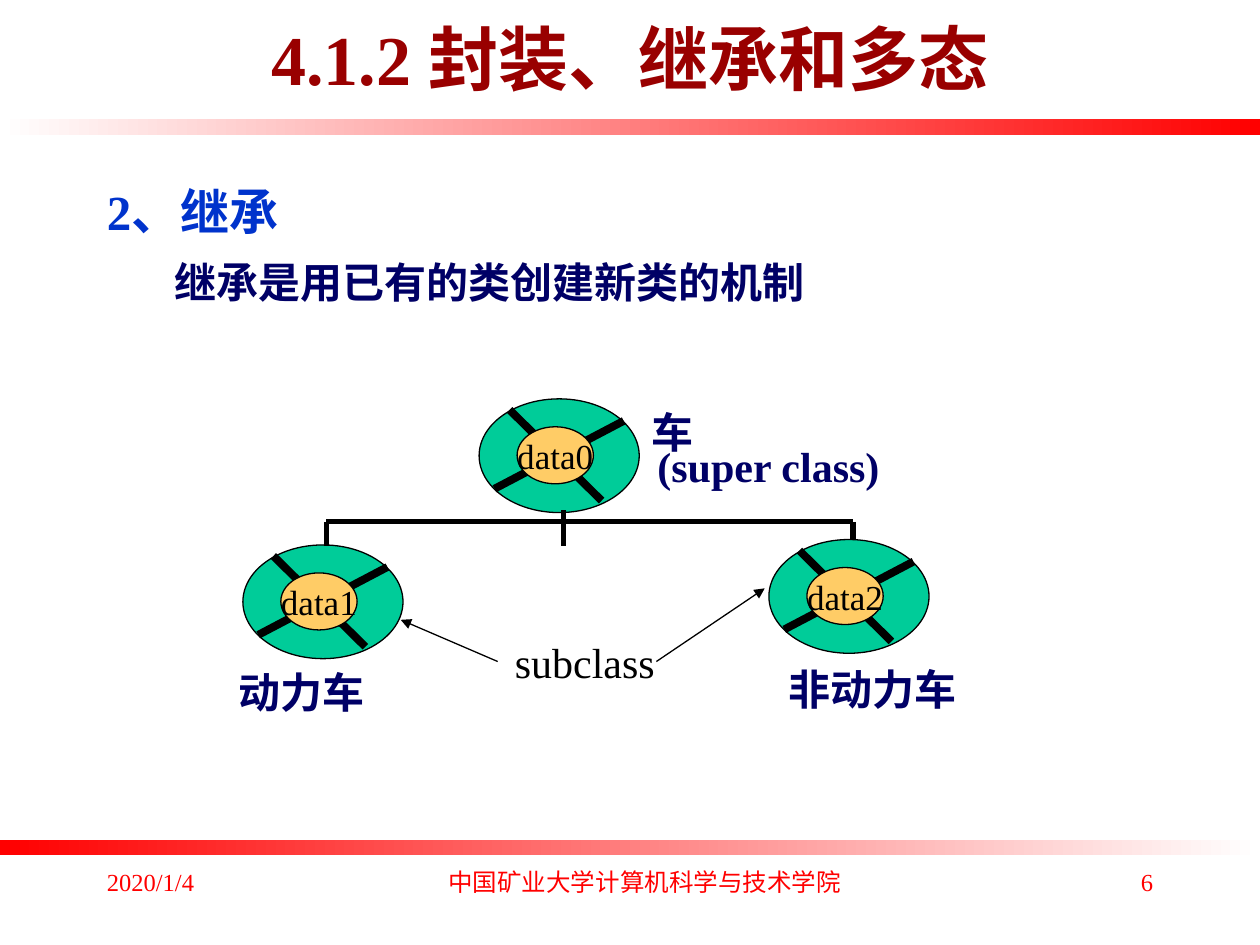
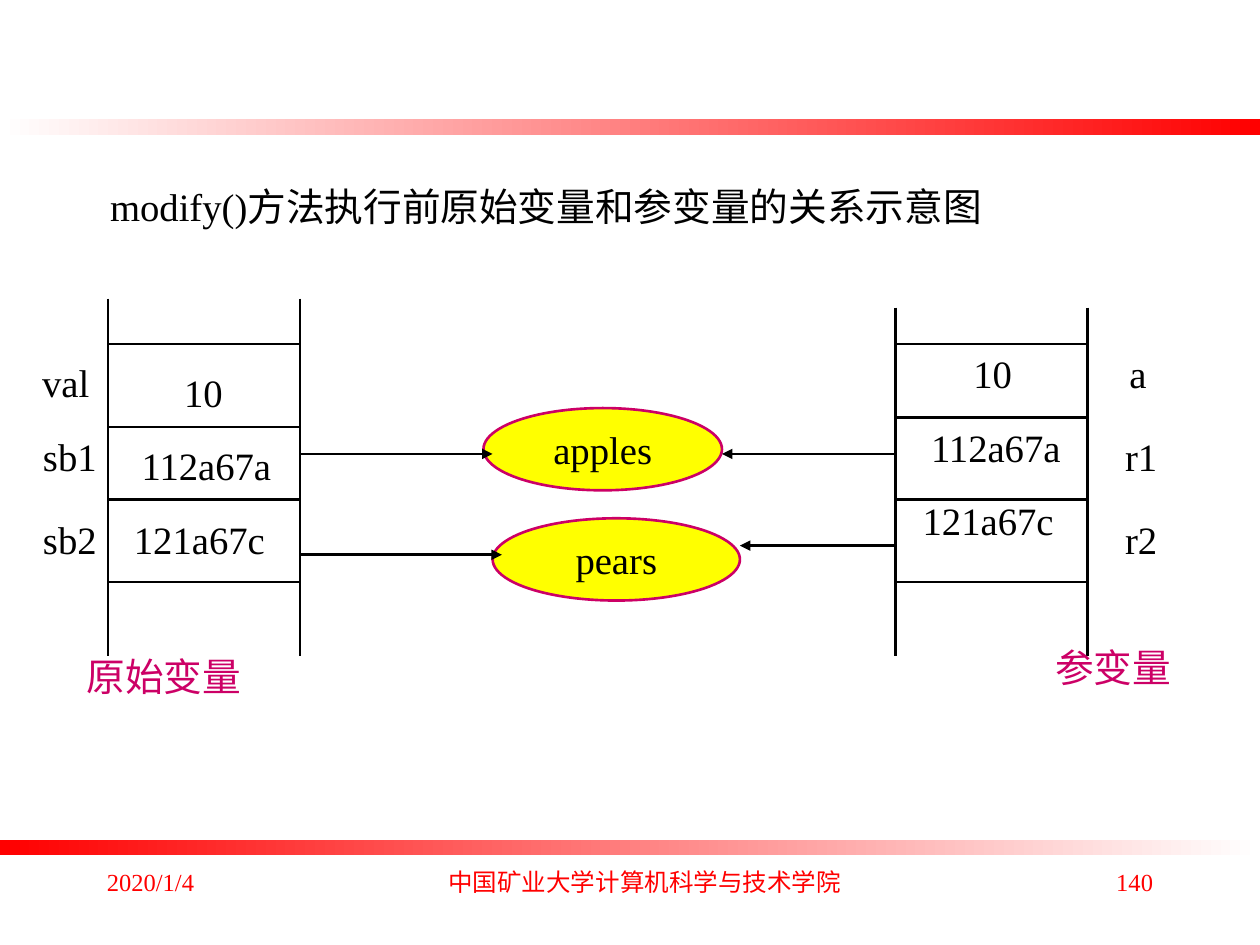
"""Builds two lecture slides: class inheritance, and argument passing before modify() runs."""
from lxml.etree import SubElement
from pptx import Presentation
from pptx.dml.color import RGBColor as RGB
from pptx.enum.shapes import MSO_CONNECTOR as Connector, MSO_SHAPE as Shape
from pptx.enum.text import MSO_ANCHOR as Anchor, PP_ALIGN as Align
from pptx.oxml.ns import qn
from pptx.util import Pt

COLORS = {
    "red": "FF0000", "white": "FFFFFF", "black": "000000", "title": "990000",
    "heading": "0033CC", "navy": "000066", "wheel": "00CC99", "hub": "FFCC66",
    "oval": "FFFF00", "magenta": "CC0066",
}
COLORS = {name: RGB.from_string(value) for name, value in COLORS.items()}
LATIN, ASIAN = "Times New Roman", "Noto Sans CJK SC"


def put(page, kind, place, text="", size=24, color="black", bold=False, align=Align.LEFT,
        anchor=Anchor.TOP, wrap=False, spacing=None, fill=None, outline=None, weight=0.75):
    """Adds a text box, or a preset shape if kind is given, and its text."""
    place = [Pt(value) for value in place]
    if kind is None:
        box = page.shapes.add_textbox(*place)
    else:
        box = page.shapes.add_shape(kind, *place)
        box.shadow.inherit = False
        if fill:
            box.fill.solid()
            box.fill.fore_color.rgb = COLORS[fill]
        if outline:
            box.line.color.rgb = COLORS[outline]
            box.line.width = Pt(weight)
        else:
            box.line.fill.background()
    if text:
        box.text_frame.word_wrap = wrap
        box.text_frame.vertical_anchor = anchor
        para = box.text_frame.paragraphs[0]
        para.alignment = align
        if spacing:
            para.line_spacing = spacing
        span = para.add_run()
        span.text = text
        for name, value in {"name": LATIN, "size": Pt(size), "bold": bold}.items():
            setattr(span.font, name, value)
        span.font.color.rgb = COLORS[color]
        SubElement(span.font._element, qn("a:ea"), typeface=ASIAN)
    return box


def draw(page, start, end, width, arrow=False):
    """Adds a straight black line, with an arrowhead at its end if asked."""
    ends = [Pt(value) for value in (*start, *end)]
    line = page.shapes.add_connector(Connector.STRAIGHT, *ends)
    line.line.color.rgb = COLORS["black"]
    line.line.width = Pt(width)
    properties = line.element.spPr
    if arrow:
        SubElement(properties.find(qn("a:ln")), qn("a:tailEnd"), type="triangle")
    SubElement(properties, qn("a:effectLst"))


deck = Presentation()
deck.slide_width, deck.slide_height = Pt(720), Pt(540)
pages = []
for number in ("6", "140"):
    page = deck.slides.add_slide(deck.slide_layouts[6])
    for top, ends in ((68.2, ("white", "red")), (479.8, ("red", "white"))):
        band = put(page, Shape.RECTANGLE, (0, top, 720, 9))
        band.fill.gradient()
        band.fill.gradient_angle = 0
        for stop, color in zip(band.fill.gradient_stops, ends):
            stop.color.rgb = COLORS[color]
    for text, left, width, align in (
        ("2020/1/4", 54, 150, Align.LEFT),
        ("中国矿业大学计算机科学与技术学院", 246, 245, Align.CENTER),
        (number, 516, 150, Align.RIGHT),
    ):
        put(page, None, (left, 492, width, 36), text, size=14, color="red", align=align, wrap=True)
    pages.append(page)
inheritance, arguments = pages

put(inheritance, None, (54, -12, 612, 90), "4.1.2 封装、继承和多态", size=40, color="title",
    bold=True, align=Align.CENTER, anchor=Anchor.MIDDLE, wrap=True)
put(inheritance, None, (54, 100, 612, 40), "2、继承", size=28, color="heading", bold=True, wrap=True)
put(inheritance, None, (92.9, 146, 612, 40), "继承是用已有的类创建新类的机制",
    color="navy", bold=True, wrap=True, spacing=0.9)

centered = {"align": Align.CENTER, "anchor": Anchor.MIDDLE}
spokes = (((8.8, 51.4), (82.6, 12.6)), ((17.4, 6.3), (70, 58.2)))
for data, left, top in (("data2", 439.4, 308.3), ("data1", 138.8, 311.4), ("data0", 273.8, 227.9)):
    put(inheritance, Shape.OVAL, (left, top, 91.5, 65), fill="wheel", outline="black")
    for start, end in spokes:
        draw(inheritance, (left + start[0], top + start[1]), (left + end[0], top + end[1]), 4.5)
    put(inheritance, Shape.OVAL, (left + 21.7, top + 16, 43.6, 32.6), data, size=20,
        fill="hub", outline="black", **centered)

branch = 298.2
for start, end in (
    ((186.5, branch), (487.4, branch)),
    ((321.8, 291.6), (321.8, 311.8)),
    ((186.5, branch), (186.5, 311.8)),
    ((487.4, branch), (487.4, 308.2)),
):
    draw(inheritance, start, end, 3)

for text, left, top, width in (
    ("车", 365, 229, 39),
    ("(super class)", 368.6, 248.4, 142),
    ("动力车", 129, 377.3, 87),
    ("非动力车", 443.8, 375.8, 125),
):
    put(inheritance, None, (left, top, width, 36), text, color="navy", bold=True)
put(inheritance, Shape.RECTANGLE, (291, 359.3, 86.4, 38.2), "subclass",
    fill="white", outline="white", **centered)
draw(inheritance, (284.4, 378), (229, 354.2), 0.75, arrow=True)
draw(inheritance, (375.1, 378), (437, 336.2), 0.75, arrow=True)

put(arguments, None, (55.8, 100.8, 530, 33.8), "modify()方法执行前原始变量和参变量的关系示意图",
    size=22.1, anchor=Anchor.MIDDLE)
for text, left, top, width in (("apples", 276.3, 233.2, 136.3), ("pears", 281.5, 296.2, 141.3)):
    put(arguments, Shape.OVAL, (left, top, width, 47), text, size=22.1,
        fill="oval", outline="magenta", weight=1.5, **centered)
for start, end, height in (
    (171.5, 281.5, 259.4), (171.5, 286.8, 317), (511.8, 412.6, 259.4), (511.8, 422.8, 311.8),
):
    draw(arguments, (start, height), (end, height), 1.5, arrow=True)

for left, top, rules in (
    (61.8, 170.6, (196.6, 244, 285.6, 332.6)),
    (511.8, 175.8, (196.6, 238.5, 285.6, 332.6)),
):
    right = left + 109.7
    for side in (left, right):
        draw(arguments, (side, top), (side, 374.6), 1.5)
    for rule in rules:
        draw(arguments, (left, rule), (right, rule), 1.5)

for text, left, top, width, color in (
    ("val", 16.6, 201.6, 42, "black"),
    ("sb1", 17.2, 243.8, 45.4, "black"),
    ("sb2", 17.2, 291, 45.4, "black"),
    ("10", 97.9, 207, 36.7, "black"),
    ("112a67a", 72.9, 249, 90, "black"),
    ("121a67c", 68.6, 291, 90.7, "black"),
    ("原始变量", 41.8, 369.4, 103.7, "magenta"),
    ("a", 638, 196.6, 24.5, "black"),
    ("r1", 635.6, 243.8, 33, "black"),
    ("r2", 635.6, 291, 33, "black"),
    ("10", 548.9, 196.6, 36.7, "black"),
    ("112a67a", 524, 238.5, 90, "black"),
    ("121a67c", 519.3, 280.2, 90.7, "black"),
    ("参变量", 595.4, 364.3, 81.4, "magenta"),
):
    put(arguments, None, (left, top, width, 33.8), text, size=22.1, color=color, align=Align.CENTER)

deck.save("out.pptx")
